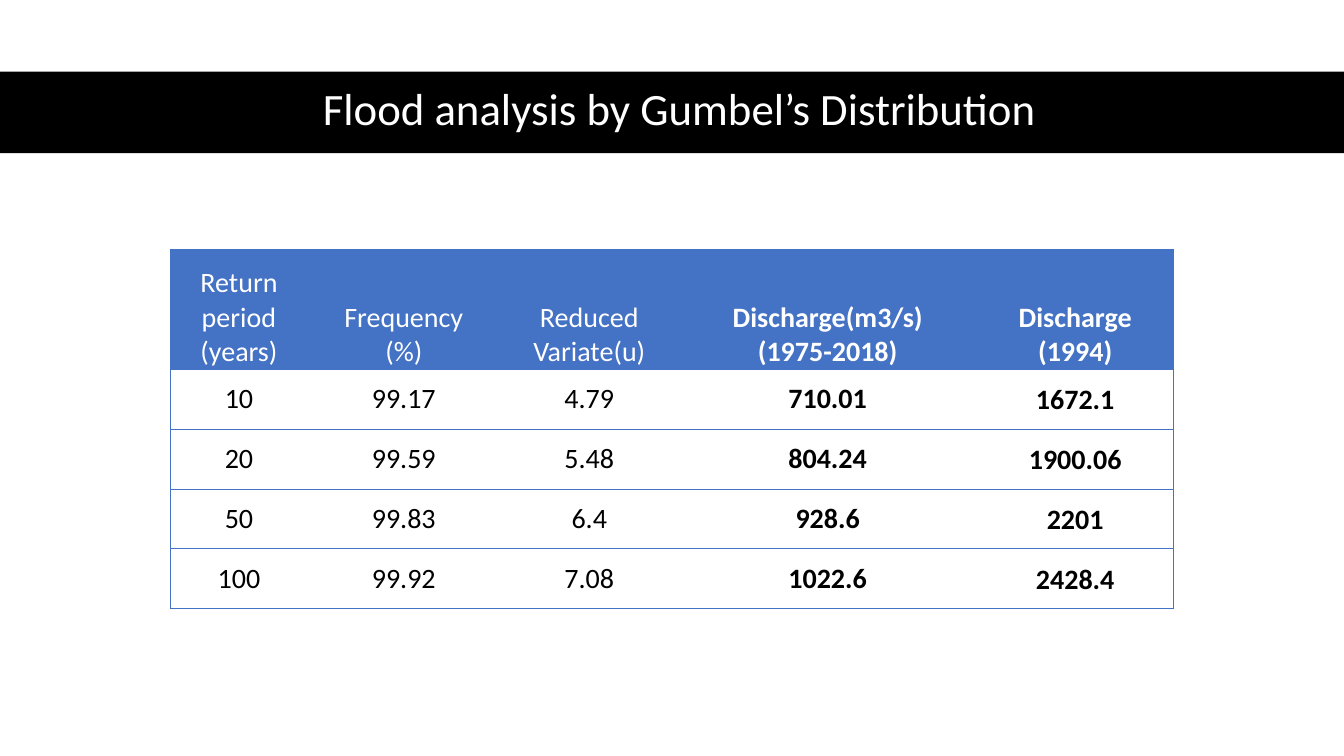
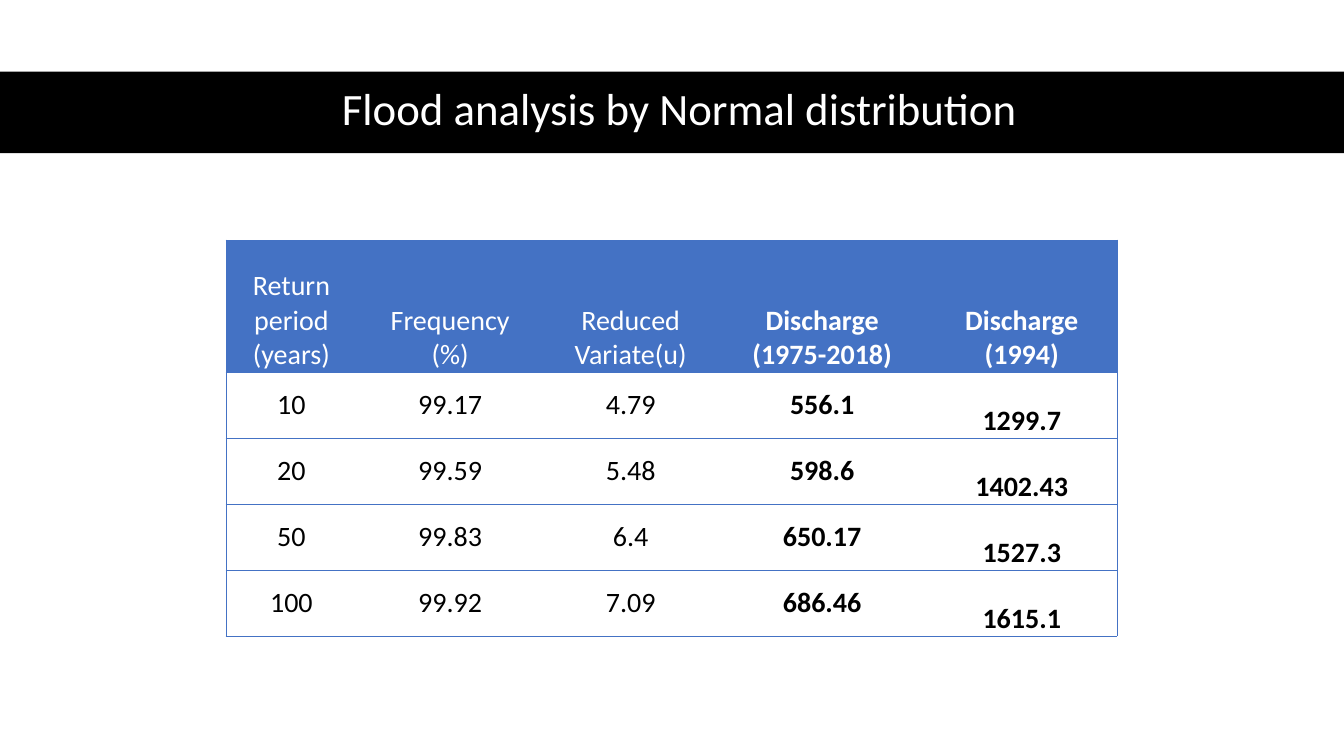
from lxml.etree import SubElement
from pptx import Presentation
from pptx.dml.color import RGBColor
from pptx.enum.shapes import MSO_SHAPE
from pptx.enum.text import MSO_ANCHOR, PP_ALIGN
from pptx.oxml.ns import qn
from pptx.util import Inches, Pt

COLORS = {"band": "000000", "accent": "4472C4", "light": "FFFFFF", "dark": "000000"}
FONT = "Calibri"
SLIDE_W, SLIDE_H = 13.33, 7.5
TIGHT = (0.02, 0.02, 0.02, 0)
ROOMY = (0.13, 0.1, 0.13, 0.1)
FIRST_BOLD_COL = 3


def rgb(name):
    return RGBColor.from_string(COLORS[name])


def style_paragraph(p, size, color, bold=False):
    p.alignment = PP_ALIGN.CENTER
    p.font.name = FONT
    p.font.size = Pt(size)
    p.font.bold = bold
    p.font.color.rgb = rgb(color)


def add_title(s, text):
    # Full-width band
    band = s.shapes.add_shape(MSO_SHAPE.RECTANGLE, 0, Inches(0.71),
                              Inches(SLIDE_W), Inches(0.81))
    band.shadow.inherit = False
    band.fill.solid()
    band.fill.fore_color.rgb = rgb("band")
    band.line.fill.background()

    # Title text
    tf = s.shapes.add_textbox(Inches(0.61), Inches(0.7),
                              Inches(12.26), Inches(0.81)).text_frame
    tf.word_wrap = True
    tf.vertical_anchor = MSO_ANCHOR.MIDDLE
    p = tf.paragraphs[0]
    p.text = text
    p.line_spacing = 0.9
    style_paragraph(p, 32, "light")


def set_borders(cell, visible):
    """Draw the sides named in visible (of L, R, T, B) and clear the others."""
    tc_pr = cell._tc.get_or_add_tcPr()
    for i, side in enumerate("LRTB"):
        ln = SubElement(tc_pr, qn(f"a:ln{side}"), w=str(Pt(0.5)))
        if side in visible:
            fill = SubElement(ln, qn("a:solidFill"))
            SubElement(fill, qn("a:srgbClr"), val=COLORS["accent"])
        else:
            SubElement(ln, qn("a:noFill"))
        tc_pr.insert(i, ln)  # borders come before the cell fill


def fill_cell(cell, text, header, bold, anchor, insets):
    cell.text = text
    cell.vertical_anchor = anchor
    (cell.margin_left, cell.margin_top,
     cell.margin_right, cell.margin_bottom) = map(Inches, insets)
    if header:
        cell.fill.solid()
        cell.fill.fore_color.rgb = rgb("accent")
    else:
        cell.fill.background()
    for p in cell.text_frame.paragraphs:
        style_paragraph(p, 20, "light" if header else "dark", bold)


def add_flood_table(s, left, top, widths, header_h, row_h, rows, last_anchor):
    last = len(widths) - 1
    height = header_h + row_h * (len(rows) - 1)
    table = s.shapes.add_table(len(rows), len(widths), Inches(left), Inches(top),
                               Inches(sum(widths)), Inches(height)).table
    table.horz_banding = False
    for col, width in zip(table.columns, widths):
        col.width = Inches(width)
    for r, values in enumerate(rows):
        header = r == 0
        table.rows[r].height = Inches(header_h if header else row_h)
        for c, text in enumerate(values):
            if header:
                anchor, insets = MSO_ANCHOR.BOTTOM, TIGHT
            elif c == last:
                anchor, insets = last_anchor, TIGHT
            else:
                anchor, insets = MSO_ANCHOR.MIDDLE, ROOMY
            cell = table.cell(r, c)
            fill_cell(cell, text, header, c >= FIRST_BOLD_COL, anchor, insets)
            set_borders(cell, "TB" + {0: "L", last: "R"}.get(c, ""))


def header_row(discharge):
    return ["Return period\n(years)", "Frequency\n(%)", "Reduced Variate(u)",
            f"{discharge}\n(1975-2018)", "Discharge\n(1994)"]


def main():
    prs = Presentation()
    prs.slide_width, prs.slide_height = Inches(SLIDE_W), Inches(SLIDE_H)
    blank = prs.slide_layouts[6]

    # Gumbel's distribution
    s = prs.slides.add_slide(blank)
    add_title(s, "Flood analysis by Gumbel’s Distribution")
    add_flood_table(s, 1.69, 2.47, [1.36, 1.91, 1.77, 2.96, 1.95], 1.19, 0.595, [
        header_row("Discharge(m3/s)"),
        ["10", "99.17", "4.79", "710.01", "1672.1"],
        ["20", "99.59", "5.48", "804.24", "1900.06"],
        ["50", "99.83", "6.4", "928.6", "2201"],
        ["100", "99.92", "7.08", "1022.6", "2428.4"],
    ], MSO_ANCHOR.MIDDLE)

    # Normal distribution
    s = prs.slides.add_slide(blank)
    add_title(s, "Flood analysis by Normal distribution")
    add_flood_table(s, 2.24, 2.38, [1.3, 1.85, 1.73, 2.07, 1.89], 1.31, 0.655, [
        header_row("Discharge"),
        ["10", "99.17", "4.79", "556.1", "1299.7"],
        ["20", "99.59", "5.48", "598.6", "1402.43"],
        ["50", "99.83", "6.4", "650.17", "1527.3"],
        ["100", "99.92", "7.09", "686.46", "1615.1"],
    ], MSO_ANCHOR.BOTTOM)

    prs.save("out.pptx")


if __name__ == "__main__":
    main()
